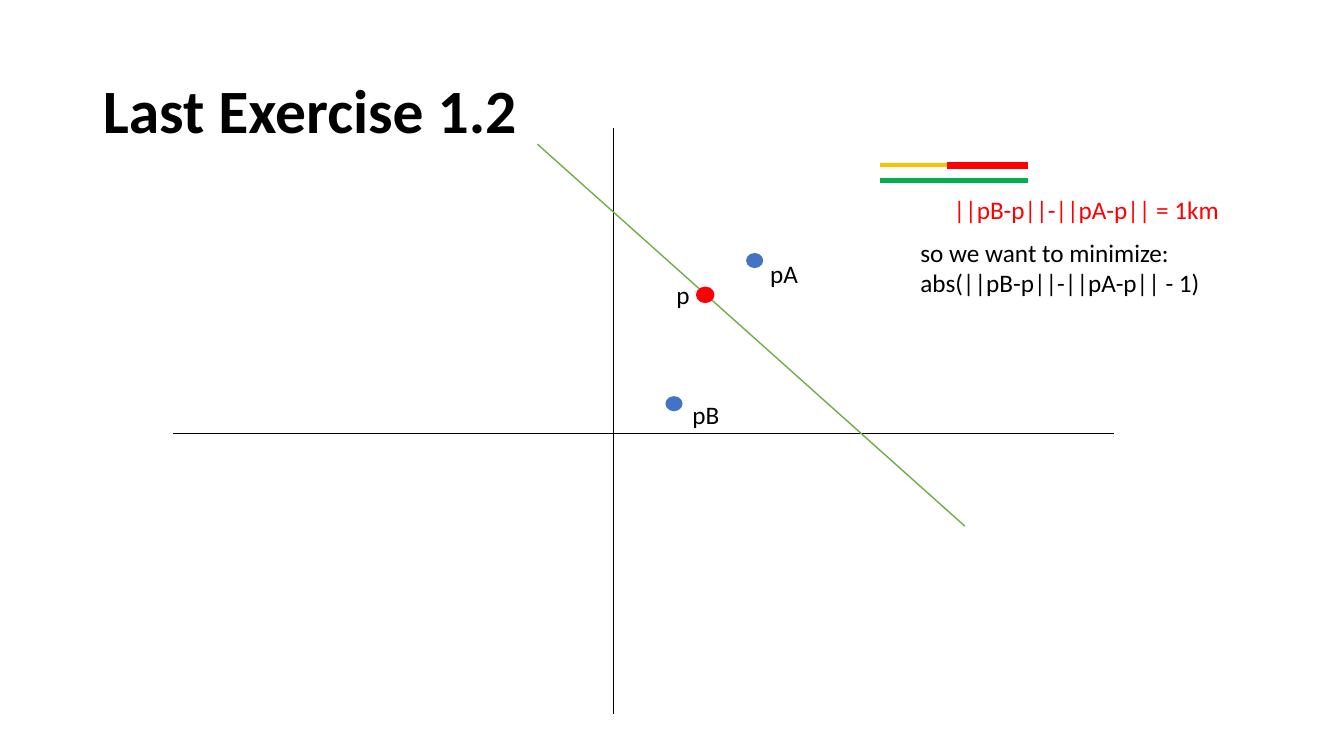
import pptx
import pptx.util
import pptx.dml.color
import pptx.enum.shapes
import pptx.enum.text
import pptx.oxml.ns
import lxml.etree
from pptx.util import Inches

FONT = "Calibri"
COLORS = {
    "black": "000000",
    "red": "FF0000",
    "blue": "4472C4",
    "lime": "70AD47",
    "green": "00B050",
    "amber": "FFC000",
}


def color(name):
    return pptx.dml.color.RGBColor.from_string(COLORS[name])


def format_paragraph(paragraph, size, color_name, bold=False):
    paragraph.alignment = pptx.enum.text.PP_ALIGN.LEFT
    paragraph.font.name = FONT
    paragraph.font.size = pptx.util.Pt(size)
    paragraph.font.bold = bold
    paragraph.font.color.rgb = color(color_name)


def set_title(slide, text):
    title = slide.shapes.title
    title.left, title.top = Inches(0.92), Inches(0.4)
    title.width, title.height = Inches(11.5), Inches(1.45)
    title.text_frame.text = text
    title.text_frame.vertical_anchor = pptx.enum.text.MSO_ANCHOR.MIDDLE
    paragraph = title.text_frame.paragraphs[0]
    paragraph.line_spacing = 0.9
    format_paragraph(paragraph, 44, "black", bold=True)


def add_line(slide, start, end, color_name, width):
    line = slide.shapes.add_connector(
        pptx.enum.shapes.MSO_CONNECTOR.STRAIGHT,
        *map(Inches, start), *map(Inches, end))
    line.line.color.rgb = color(color_name)
    line.line.width = pptx.util.Pt(width)
    properties = line._element.spPr
    lxml.etree.SubElement(properties, pptx.oxml.ns.qn("a:effectLst"))


def add_point(slide, left, top, color_name, outlined=False):
    point = slide.shapes.add_shape(
        pptx.enum.shapes.MSO_SHAPE.OVAL,
        Inches(left), Inches(top), Inches(0.17), Inches(0.15))
    point.shadow.inherit = False
    point.fill.solid()
    point.fill.fore_color.rgb = color(color_name)
    if outlined:
        point.line.color.rgb = color(color_name)
        point.line.width = pptx.util.Pt(1)
    else:
        point.line.fill.background()


def add_text(slide, left, top, width, height, text, color_name="black", wrap=False):
    box = slide.shapes.add_textbox(
        Inches(left), Inches(top), Inches(width), Inches(height))
    frame = box.text_frame
    frame.text = text
    frame.word_wrap = wrap
    frame.auto_size = pptx.enum.text.MSO_AUTO_SIZE.SHAPE_TO_FIT_TEXT
    for paragraph in frame.paragraphs:
        format_paragraph(paragraph, 18, color_name)


def main():
    presentation = pptx.Presentation()
    presentation.slide_width = Inches(13.33)
    presentation.slide_height = Inches(7.5)
    slide = presentation.slides.add_slide(presentation.slide_layouts[5])
    set_title(slide, "Last Exercise 1.2")

    # Axes and the line on which p lies
    add_line(slide, (6.08, 1.27), (6.08, 7.08), "black", 0.5)
    add_line(slide, (1.72, 4.3), (11.05, 4.3), "black", 0.5)
    add_line(slide, (5.33, 1.43), (9.57, 5.22), "lime", 1)

    # Points and their labels
    add_point(slide, 6.6, 3.93, "blue")
    add_point(slide, 7.4, 2.51, "blue")
    add_point(slide, 6.91, 2.85, "red", outlined=True)
    add_text(slide, 6.77, 3.91, 0.47, 0.4, "pB")
    add_text(slide, 7.54, 2.51, 0.48, 0.4, "pA")
    add_text(slide, 6.61, 2.72, 0.34, 0.4, "p")

    # Comparison of the two distances
    add_line(slide, (10.2, 1.79), (8.73, 1.79), "green", 3)
    add_line(slide, (8.73, 1.64), (9.39, 1.64), "amber", 3)
    add_line(slide, (9.39, 1.64), (10.2, 1.64), "red", 5)

    # Formulas
    add_text(slide, 9.36, 1.88, 2.86, 0.4, "||pB-p||-||pA-p|| = 1km", "red")
    add_text(slide, 9.03, 2.3, 3.03, 1.01,
             "so we want to minimize:\nabs(||pB-p||-||pA-p|| - 1)", wrap=True)

    presentation.save("out.pptx")


if __name__ == "__main__":
    main()
